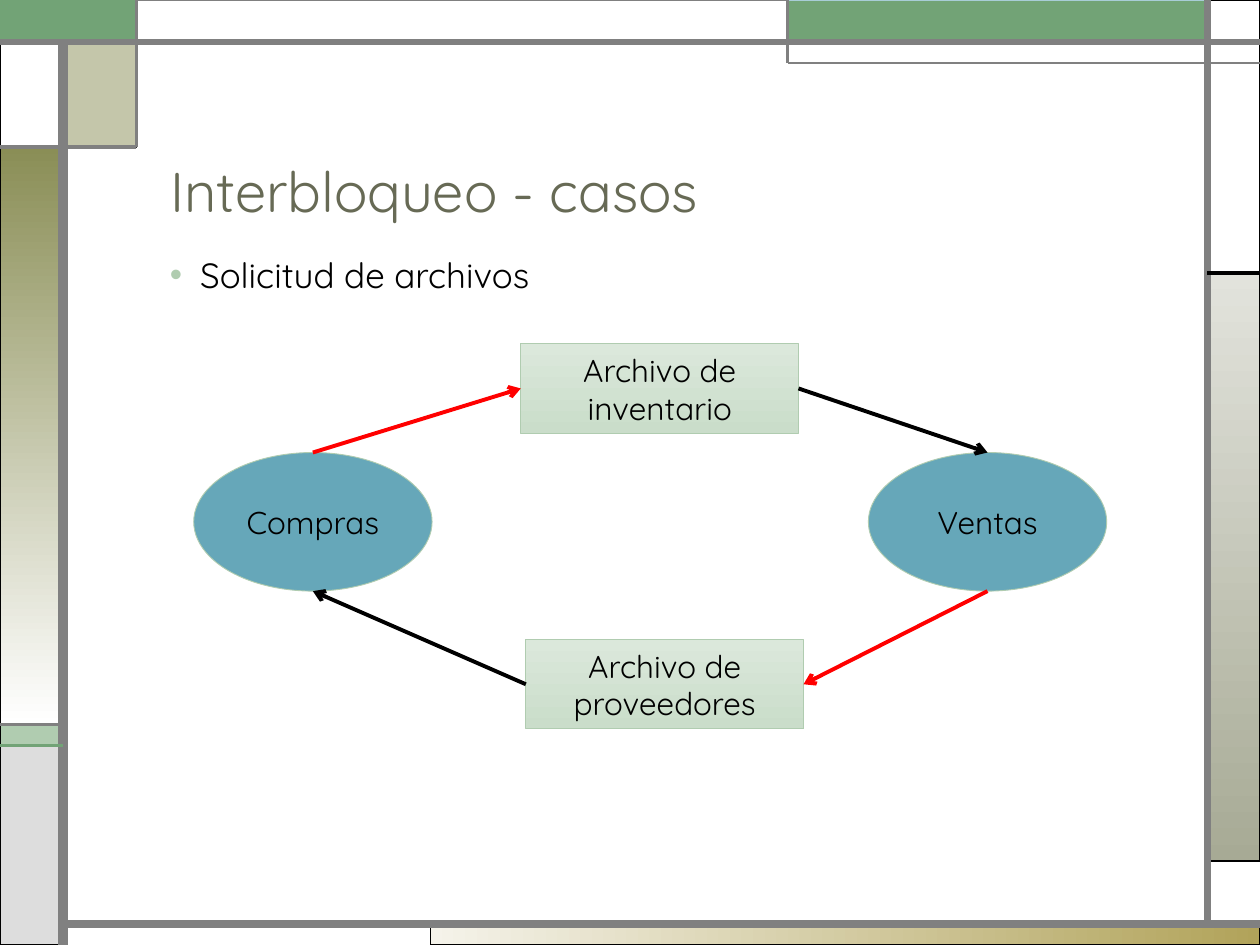
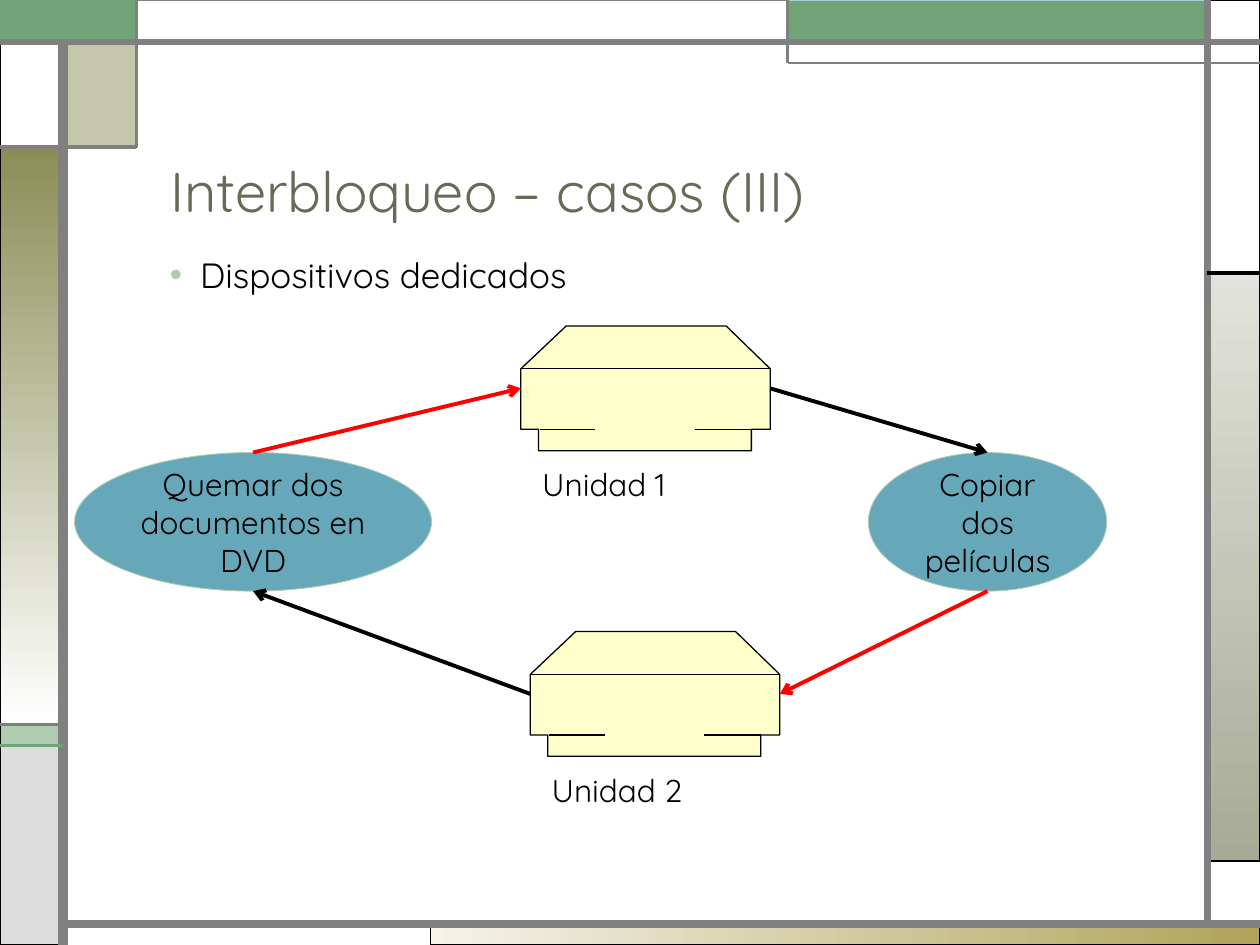
import dataclasses
import enum
import typing

import lxml.etree
import pptx
import pptx.dml.color
import pptx.enum.dml
import pptx.enum.shapes
import pptx.enum.text
import pptx.oxml.ns
import pptx.util

RGB = pptx.dml.color.RGBColor
SHAPES = pptx.enum.shapes.MSO_SHAPE
ANCHOR = pptx.enum.text.MSO_ANCHOR
ALIGN = pptx.enum.text.PP_ALIGN
qn = pptx.oxml.ns.qn

# Shared colours and font
BLACK = RGB(0x00, 0x00, 0x00)
WHITE = RGB(0xFF, 0xFF, 0xFF)
GRAY = RGB(0x80, 0x80, 0x80)
SILVER = RGB(0xDD, 0xDD, 0xDD)
GREEN = RGB(0x72, 0xA3, 0x76)
PALE_GREEN = RGB(0xB0, 0xCC, 0xB0)
BOX_TOP = RGB(0xDB, 0xE8, 0xDB)
BOX_BOTTOM = RGB(0xCA, 0xDD, 0xCA)
OLIVE = RGB(0x8A, 0x8E, 0x56)
SAGE_LIGHT = RGB(0xE2, 0xE3, 0xDC)
SAGE = RGB(0xA7, 0xAA, 0x95)
CREAM = RGB(0xF5, 0xF3, 0xEA)
GOLD = RGB(0xB1, 0xA3, 0x5A)
SKY = RGB(0xA8, 0xCD, 0xD7)
BLUE = RGB(0x66, 0xA7, 0xB9)
YELLOW = RGB(0xFF, 0xFF, 0xCC)
RED = RGB(0xFF, 0x00, 0x00)
TITLE_COLOR = RGB(0x67, 0x6A, 0x55)
FONT = "Quicksand"

# The grid: 120 columns by 90 rows of a twelfth of an inch
COLUMNS, ROWS = 120, 90
CELL = pptx.util.Inches(1 / 12)

Point = tuple[float, float]
Area = tuple[float, float, float, float]


def cells(*values: float) -> list[pptx.util.Emu]:
    return [pptx.util.Emu(round(value * CELL)) for value in values]


@dataclasses.dataclass
class Panel:
    area: Area
    fill: RGB
    fade_to: typing.Optional[RGB] = None
    angle: int = 270
    line: RGB = BLACK
    width: float = 0.75
    opacity: int = 100


@dataclasses.dataclass
class Rule:
    start: Point
    end: Point
    color: RGB = GRAY
    width: float = 2.25


class Kind(enum.Enum):
    FILE = "file"
    PROCESS = "process"
    DRIVE = "drive"


@dataclasses.dataclass
class Node:
    kind: Kind
    text: str
    area: Area

    def side(self, name: str) -> Point:
        left, top, width, height = self.area
        across, down = {"top": (0.5, 0), "bottom": (0.5, 1),
                        "left": (0, 0.5), "right": (1, 0.5)}[name]
        return left + across * width, top + down * height


@dataclasses.dataclass
class Case:
    """Two processes competing for two resources."""
    title: str
    topic: str
    left: Node
    right: Node
    upper: Node
    lower: Node


# Frame around every page
PANELS = [
    Panel((41, 88, 79, 2), CREAM, GOLD, angle=0),
    Panel((115, 26, 5, 56), SAGE_LIGHT, SAGE),
    Panel((0, 69, 6, 2), PALE_GREEN),
    Panel((0, 71, 6, 19), SILVER),
    Panel((115, 0, 5, 26), WHITE),
    Panel((75, 0, 40, 4), GREEN, line=SKY),
    Panel((6, 4, 7, 10), OLIVE, opacity=50),
    Panel((0, 14, 6, 55), OLIVE, WHITE),
    Panel((0, 4, 6, 10), WHITE),
    Panel((0, 0, 13, 4), GREEN, line=GREEN, width=1.5),
    Panel((13, 0, 62, 4), WHITE, line=GRAY),
]
RULES = [
    Rule((6, ROWS), (6, 4), width=6),
    Rule((6, 88), (COLUMNS, 88), width=4.5),
    Rule((115, 88), (115, 0), width=4.5),
    Rule((0, 4), (COLUMNS, 4), width=3),
    Rule((COLUMNS, 6), (75, 6), width=1.5),
    Rule((75, 6), (75, 0), width=1.5),
    Rule((115, 26), (COLUMNS, 26), BLACK),
    Rule((13, 0), (13, 14), width=1.5),
    Rule((13, 14), (0, 14)),
    Rule((6, 69), (0, 69)),
    Rule((6, 71), (0, 71), GREEN),
]
TITLE_AREA = (15, 7, 94.5, 15)
TOPIC_AREA = (15, 24, 94.5, 55)

# Disk drive, in hundredths of an inch
DRIVE_OUTLINE = [(0, 34), (36, 0), (163, 0), (198, 34), (198, 82), (183, 82),
                 (183, 99), (14, 99), (14, 82), (0, 82)]
DRIVE_DETAILS = [((15, 82), (59, 82)), ((183, 82), (138, 82)),
                 ((0, 34), (198, 34))]

PROCESS_TOP, PROCESS_HEIGHT = 43.1, 13.2
FILE_SIZE = (26.45, 8.5)
DRIVE_SIZE = (23.76, 11.88)


def process(text: str, left: float, width: float = 22.7) -> Node:
    return Node(Kind.PROCESS, text, (left, PROCESS_TOP, width, PROCESS_HEIGHT))


CASES = [
    Case("Interbloqueo - casos", "Solicitud de archivos",
         process("Compras", 18.45), process("Ventas", 82.7),
         Node(Kind.FILE, "Archivo de inventario", (49.6, 32.75, *FILE_SIZE)),
         Node(Kind.FILE, "Archivo de proveedores", (50.08, 60.92, *FILE_SIZE))),
    Case("Interbloqueo – casos (III)", "Dispositivos dedicados",
         process("Quemar dos documentos en DVD", 7.1, 34),
         process("Copiar dos películas", 82.7),
         Node(Kind.DRIVE, "Unidad 1", (49.6, 31.05, *DRIVE_SIZE)),
         Node(Kind.DRIVE, "Unidad 2", (50.5, 60.15, *DRIVE_SIZE))),
]


def write(shape, text: str, size: float, color: RGB = BLACK,
          align=ALIGN.LEFT, anchor=ANCHOR.TOP, spacing: float = 1.0):
    frame = shape.text_frame
    frame.text = text
    frame.word_wrap = True
    frame.auto_size = pptx.enum.text.MSO_AUTO_SIZE.NONE
    frame.vertical_anchor = anchor
    para = frame.paragraphs[0]
    para.alignment = align
    para.line_spacing = spacing
    for span in para.runs:
        span.font.name = FONT
        span.font.size = pptx.util.Pt(size)
        span.font.color.rgb = color
    return para


def add_bullet(para, color: RGB) -> None:
    props = para._p.get_or_add_pPr()
    indent = pptx.util.Inches(0.24)
    props.set("marL", str(indent))
    props.set("indent", str(-indent))
    tint = lxml.etree.SubElement(props, qn("a:buClr"))
    lxml.etree.SubElement(tint, qn("a:srgbClr"), val=str(color))
    lxml.etree.SubElement(props, qn("a:buFont"), typeface="Arial")
    lxml.etree.SubElement(props, qn("a:buChar"), char="•")


def paint(shape, panel: Panel) -> None:
    shape.shadow.inherit = False
    if panel.fade_to is None:
        shape.fill.solid()
        shape.fill.fore_color.rgb = panel.fill
    else:
        shape.fill.gradient()
        shape.fill.gradient_angle = panel.angle
        for stop, color in zip(shape.fill.gradient_stops,
                               (panel.fill, panel.fade_to)):
            stop.color.rgb = color
    if panel.opacity < 100:
        color = shape._element.spPr.find(".//" + qn("a:srgbClr"))
        lxml.etree.SubElement(color, qn("a:alpha"),
                              val=str(panel.opacity * 1000))
    shape.line.color.rgb = panel.line
    shape.line.width = pptx.util.Pt(panel.width)


def draw_panel(page, panel: Panel, preset=SHAPES.RECTANGLE):
    shape = page.shapes.add_shape(preset, *cells(*panel.area))
    paint(shape, panel)
    return shape


def draw_rule(page, rule: Rule, arrow: bool = False) -> None:
    line = page.shapes.add_connector(pptx.enum.shapes.MSO_CONNECTOR.STRAIGHT,
                                     *cells(*rule.start, *rule.end))
    line.line.color.rgb = rule.color
    line.line.width = pptx.util.Pt(rule.width)
    if arrow:
        lxml.etree.SubElement(line.get_or_add_ln(), qn("a:tailEnd"),
                              type="arrow")
    lxml.etree.SubElement(line._element.spPr, qn("a:effectLst"))


def draw_drive(page, node: Node) -> None:
    left, top, width, height = node.area
    builder = page.shapes.build_freeform(
        *DRIVE_OUTLINE[0], scale=pptx.util.Inches(0.01))
    builder.add_line_segments(DRIVE_OUTLINE[1:], close=True)
    for start, end in DRIVE_DETAILS:
        builder.move_to(*start)
        builder.add_line_segments([end], close=False)
    drive = builder.convert_to_shape(*cells(left, top))
    paint(drive, Panel(node.area, YELLOW))
    label = page.shapes.add_textbox(
        *cells(left + 0.85, top + height + 0.8, width, 5))
    write(label, node.text, 18)


def draw_node(page, node: Node) -> None:
    if node.kind is Kind.DRIVE:
        draw_drive(page, node)
        return
    if node.kind is Kind.FILE:
        panel = Panel(node.area, BOX_TOP, BOX_BOTTOM, line=PALE_GREEN, width=0.5)
        shape = draw_panel(page, panel)
    else:
        panel = Panel(node.area, BLUE, line=PALE_GREEN, width=0.5)
        shape = draw_panel(page, panel, SHAPES.OVAL)
    write(shape, node.text, 18, align=ALIGN.CENTER, anchor=ANCHOR.MIDDLE)


def draw_case(deck, case: Case) -> None:
    page = deck.slides.add_slide(deck.slide_layouts[5])
    for panel in PANELS:
        draw_panel(page, panel)
    for rule in RULES:
        draw_rule(page, rule)

    # Title and topic
    title = page.shapes.title
    title.left, title.top, title.width, title.height = cells(*TITLE_AREA)
    write(title, case.title, 32, TITLE_COLOR, anchor=ANCHOR.BOTTOM, spacing=0.9)
    topic = page.shapes.add_textbox(*cells(*TOPIC_AREA))
    add_bullet(write(topic, case.topic, 20, spacing=0.9), PALE_GREEN)

    # Cycle of requests (red) and grants (black)
    for node in (case.upper, case.lower, case.left, case.right):
        draw_node(page, node)
    for start, end, color in (
            (case.upper.side("right"), case.right.side("top"), BLACK),
            (case.lower.side("left"), case.left.side("bottom"), BLACK),
            (case.left.side("top"), case.upper.side("left"), RED),
            (case.right.side("bottom"), case.lower.side("right"), RED)):
        draw_rule(page, Rule(start, end, color), arrow=True)


deck = pptx.Presentation()
deck.slide_width, deck.slide_height = cells(COLUMNS, ROWS)
for case in CASES:
    draw_case(deck, case)
deck.save("out.pptx")
